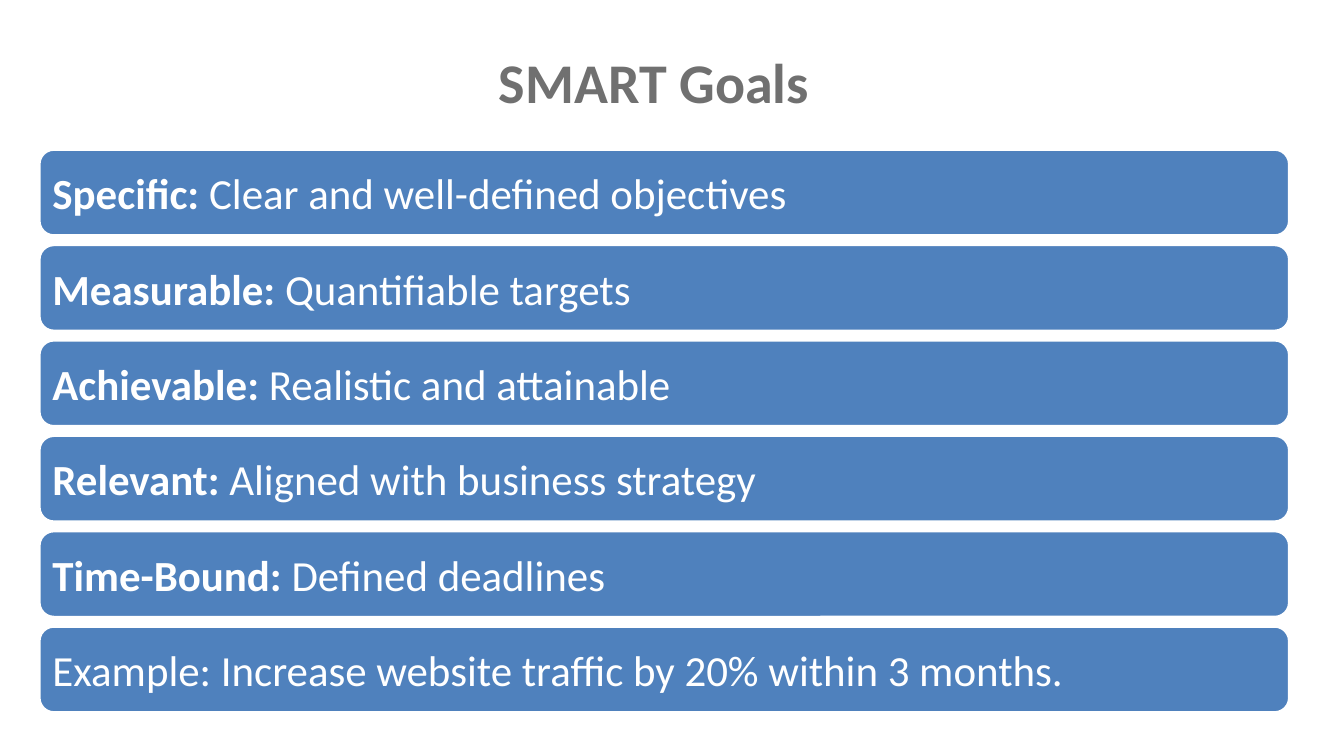
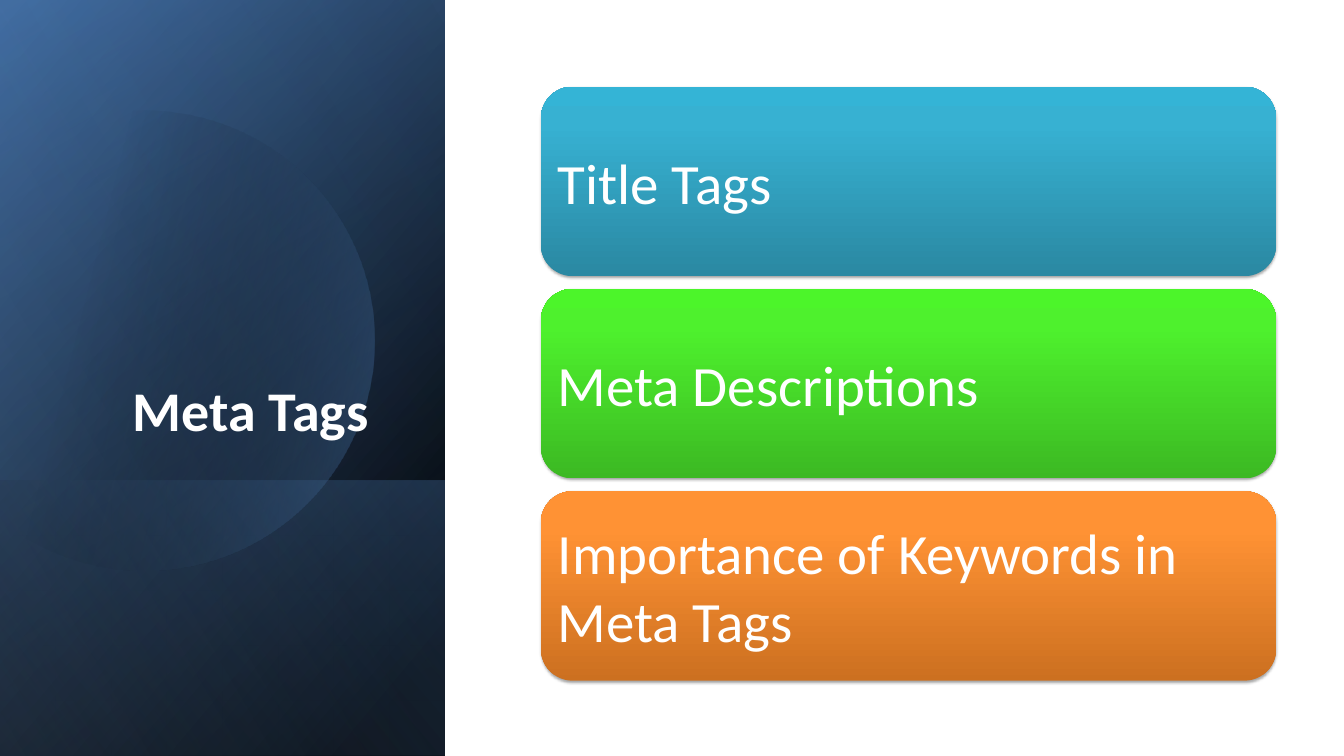
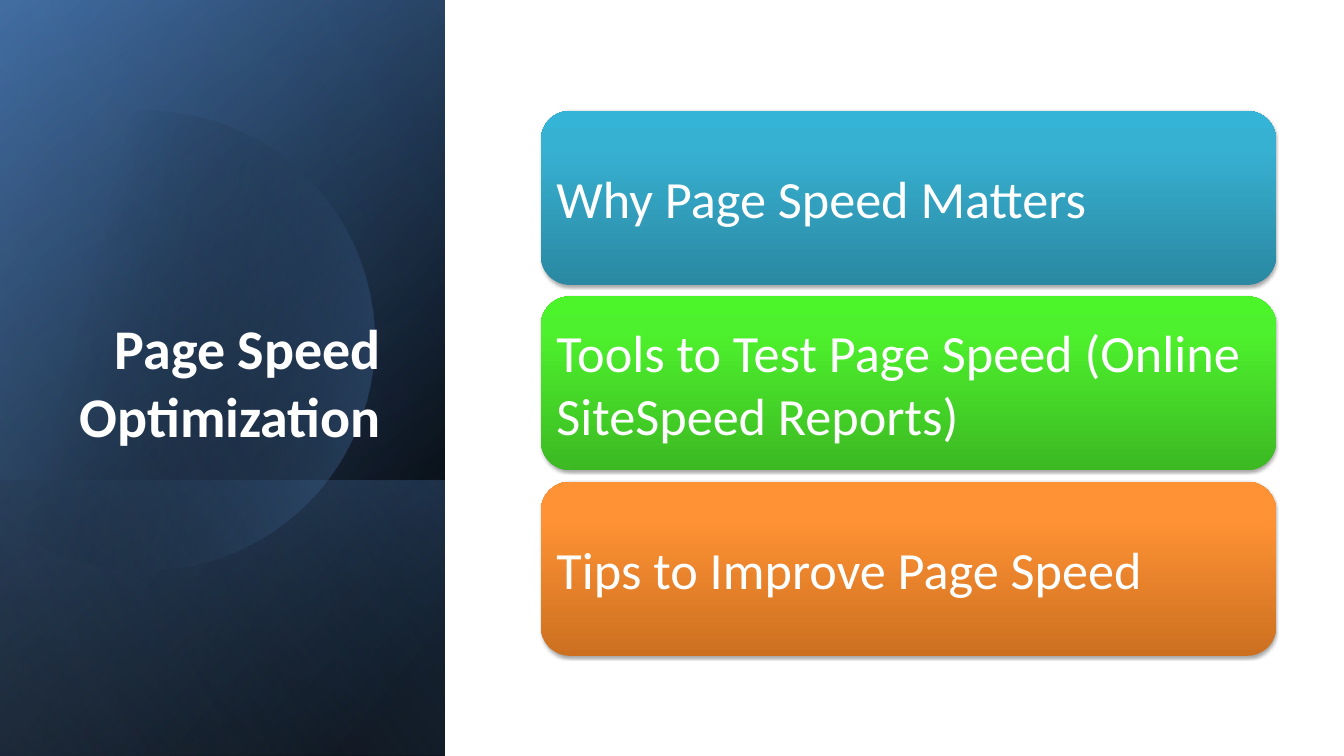
from dataclasses import dataclass
from math import cos, radians, sin

from lxml.etree import SubElement
from pptx import Presentation
from pptx.dml.color import RGBColor
from pptx.enum.shapes import MSO_SHAPE
from pptx.enum.text import MSO_ANCHOR, MSO_AUTO_SIZE, PP_ALIGN
from pptx.oxml.ns import qn
from pptx.util import Pt

FONT = "Calibri"
WHITE, BLACK, GREY, BLUE = "FFFFFF", "000000", "707070", "4F81BD"
SLIDE_WIDTH, SLIDE_HEIGHT = 1440, 810
SIDE_WIDTH = 476.6
TITLE_SIZE = 60
CORNER_INSET = 0.0488  # text inset of a rounded rectangle, as a share of its height


@dataclass(frozen=True)
class Stop:
    position: int
    color: str
    opacity: int = 100


@dataclass(frozen=True)
class Gradient:
    angle: int
    stops: tuple[Stop, ...]


@dataclass(frozen=True)
class SideLayer:
    top: float
    height: float
    gradient: Gradient


@dataclass(frozen=True)
class Stack:
    """A column of equal rounded bars."""
    left: float
    top: float
    width: float
    height: float
    pitch: float
    inset: float
    size: int


@dataclass(frozen=True)
class Title:
    text: str
    left: float
    top: float
    width: float
    height: float
    color: str = WHITE
    align: PP_ALIGN = PP_ALIGN.CENTER
    anchor: MSO_ANCHOR = MSO_ANCHOR.BOTTOM


@dataclass(frozen=True)
class Topic:
    title: Title
    stack: Stack
    labels: tuple[str, ...]


SIDE_BASE = (
    SideLayer(0, SLIDE_HEIGHT, Gradient(50, (Stop(8, BLACK), Stop(100, "376092")))),
    SideLayer(0, SLIDE_HEIGHT, Gradient(30, (Stop(0, BLACK, 0), Stop(99, BLUE, 46)))),
    SideLayer(514.8, 295.2, Gradient(130, (Stop(2, BLUE, 29), Stop(100, BLACK, 30)))),
)
SIDE_GLOSS = SideLayer(
    0, SLIDE_HEIGHT, Gradient(120, (Stop(0, BLACK, 0), Stop(99, "95B3D7", 11))))
DISC_GRADIENT = Gradient(14, (Stop(29, BLACK, 0), Stop(100, BLUE, 43)))
BAR_GRADIENTS = tuple(
    Gradient(270, (Stop(0, dark), Stop(80, middle), Stop(100, light)))
    for dark, middle, light in (("2A88A2", "37B1D2", "34B4D6"),
                                ("3CB923", "4EF12D", "4CF52A"),
                                ("CC7020", "FF9234", "FF9336")))

GOALS_TITLE = Title("SMART Goals", 59.8, 20.9, 1281.6, 131, GREY,
                    anchor=MSO_ANCHOR.MIDDLE)
GOALS_STACK = Stack(42.5, 160.6, 1338.5, 91.4, 102.2, 13.7, 46)
GOALS = (
    ("Specific:", " Clear and well-defined objectives"),
    ("Measurable:", " Quantifiable targets"),
    ("Achievable:", " Realistic and attainable"),
    ("Relevant:", " Aligned with business strategy"),
    ("Time-Bound:", " Defined deadlines"),
    ("", "Example: Increase website traffic by 20% within 3 months."),
)
TOPICS = (
    Topic(Title("Meta Tags", 69.1, 198.7, 398.9, 279.4),
          Stack(579.6, 92.9, 787.7, 203, 216.7, 18, 61),
          ("Title Tags", "Meta Descriptions", "Importance of Keywords in Meta Tags")),
    Topic(Title("Page Speed Optimization", 18, 200.9, 397.4, 283, align=PP_ALIGN.RIGHT),
          Stack(579.6, 118.8, 787.7, 186.5, 198.7, 16.6, 56),
          ("Why Page Speed Matters",
           "Tools to Test Page Speed (Online SiteSpeed Reports)",
           "Tips to Improve Page Speed")),
)


def rgb(color: str) -> RGBColor:
    return RGBColor.from_string(color)


def apply(target, values: dict) -> None:
    for name, value in values.items():
        setattr(target, name, value)


def add_color(parent, color: str, opacity: int) -> None:
    node = SubElement(parent, qn("a:srgbClr"), val=color)
    if opacity < 100:
        SubElement(node, qn("a:alpha"), val=str(opacity * 1000))


def fill_gradient(shape, gradient: Gradient) -> None:
    shape.fill.background()
    properties = shape.element.spPr
    empty_fill = properties.find(qn("a:noFill"))
    fill = SubElement(properties, qn("a:gradFill"), rotWithShape="1")
    stop_list = SubElement(fill, qn("a:gsLst"))
    for stop in gradient.stops:
        node = SubElement(stop_list, qn("a:gs"), pos=str(stop.position * 1000))
        add_color(node, stop.color, stop.opacity)
    SubElement(fill, qn("a:lin"), ang=str(gradient.angle * 60000), scaled="0")
    properties.replace(empty_fill, fill)


def add_shadow(shape) -> None:
    effects = shape.element.spPr.find(qn("a:effectLst"))
    shadow = SubElement(effects, qn("a:outerShdw"), blurRad=str(Pt(3.1)),
                        dist=str(Pt(1.8)), dir="5400000", rotWithShape="0")
    add_color(shadow, BLACK, 35)


def add_span(para, text: str, size: int, color: str, bold: bool = False) -> None:
    span = para.add_run()
    span.text = text
    apply(span.font, {"name": FONT, "size": Pt(size), "bold": bold})
    span.font.color.rgb = rgb(color)


def set_title(page, title: Title) -> None:
    box = page.shapes.title
    apply(box, {name: Pt(getattr(title, name))
                for name in ("left", "top", "width", "height")})
    apply(box.text_frame, {"auto_size": MSO_AUTO_SIZE.NONE, "word_wrap": True,
                           "vertical_anchor": title.anchor})
    para = box.text_frame.paragraphs[0]
    para.alignment = title.align
    add_span(para, title.text, TITLE_SIZE, title.color, True)
    page.shapes.element.append(box.element)  # in front of the side panel


def add_bar(page, stack: Stack, index: int, lead: str, text: str):
    bar = page.shapes.add_shape(
        MSO_SHAPE.ROUNDED_RECTANGLE, Pt(stack.left), Pt(stack.top + index * stack.pitch),
        Pt(stack.width), Pt(stack.height))
    bar.shadow.inherit = False
    inset = Pt(stack.inset - stack.height * CORNER_INSET)
    apply(bar.text_frame, {"word_wrap": True, "vertical_anchor": MSO_ANCHOR.MIDDLE,
                           "margin_left": inset, "margin_right": inset,
                           "margin_top": inset, "margin_bottom": inset})
    para = bar.text_frame.paragraphs[0]
    para.alignment = PP_ALIGN.LEFT
    if lead:
        add_span(para, lead, stack.size, WHITE, True)
    add_span(para, text, stack.size, WHITE)
    return bar


def add_side_layer(page, layer: SideLayer) -> None:
    """Draw a mirrored rectangle, turned a quarter so its gradient turns with it."""
    left = (SIDE_WIDTH - layer.height) / 2
    top = layer.top + (layer.height - SIDE_WIDTH) / 2
    shape = page.shapes.add_shape(MSO_SHAPE.RECTANGLE, Pt(left), Pt(top),
                                  Pt(layer.height), Pt(SIDE_WIDTH))
    shape.rotation = 90
    shape.element.spPr.find(qn("a:xfrm")).set("flipH", "1")
    shape.shadow.inherit = False
    shape.line.fill.background()
    fill_gradient(shape, layer.gradient)


def add_disc(page) -> None:
    """Draw a circle cut off straight near the left slide edge."""
    center_x, center_y, radius, cut = 154.8, 365, 246.6, -16.6
    points = [(Pt(max(cut, center_x + radius * cos(radians(angle)))),
               Pt(center_y + radius * sin(radians(angle))))
              for angle in range(0, 360, 3)]
    builder = page.shapes.build_freeform(*points[0])
    builder.add_line_segments(points[1:], close=True)
    disc = builder.convert_to_shape()
    disc.shadow.inherit = False
    disc.line.fill.background()
    fill_gradient(disc, DISC_GRADIENT)


def add_goals_page(deck) -> None:
    page = deck.slides.add_slide(deck.slide_layouts[5])
    set_title(page, GOALS_TITLE)
    for index, (lead, text) in enumerate(GOALS):
        bar = add_bar(page, GOALS_STACK, index, lead, text)
        bar.fill.solid()
        bar.fill.fore_color.rgb = rgb(BLUE)
        bar.line.color.rgb = rgb(WHITE)
        bar.line.width = Pt(2)


def add_topic_page(deck, topic: Topic) -> None:
    page = deck.slides.add_slide(deck.slide_layouts[5])
    for layer in SIDE_BASE:
        add_side_layer(page, layer)
    add_disc(page)
    add_side_layer(page, SIDE_GLOSS)
    set_title(page, topic.title)
    for index, (label, gradient) in enumerate(zip(topic.labels, BAR_GRADIENTS)):
        bar = add_bar(page, topic.stack, index, "", label)
        bar.line.fill.background()
        fill_gradient(bar, gradient)
        add_shadow(bar)


def main() -> None:
    deck = Presentation()
    apply(deck, {"slide_width": Pt(SLIDE_WIDTH), "slide_height": Pt(SLIDE_HEIGHT)})
    add_goals_page(deck)
    for topic in TOPICS:
        add_topic_page(deck, topic)
    deck.save("out.pptx")


if __name__ == "__main__":
    main()
